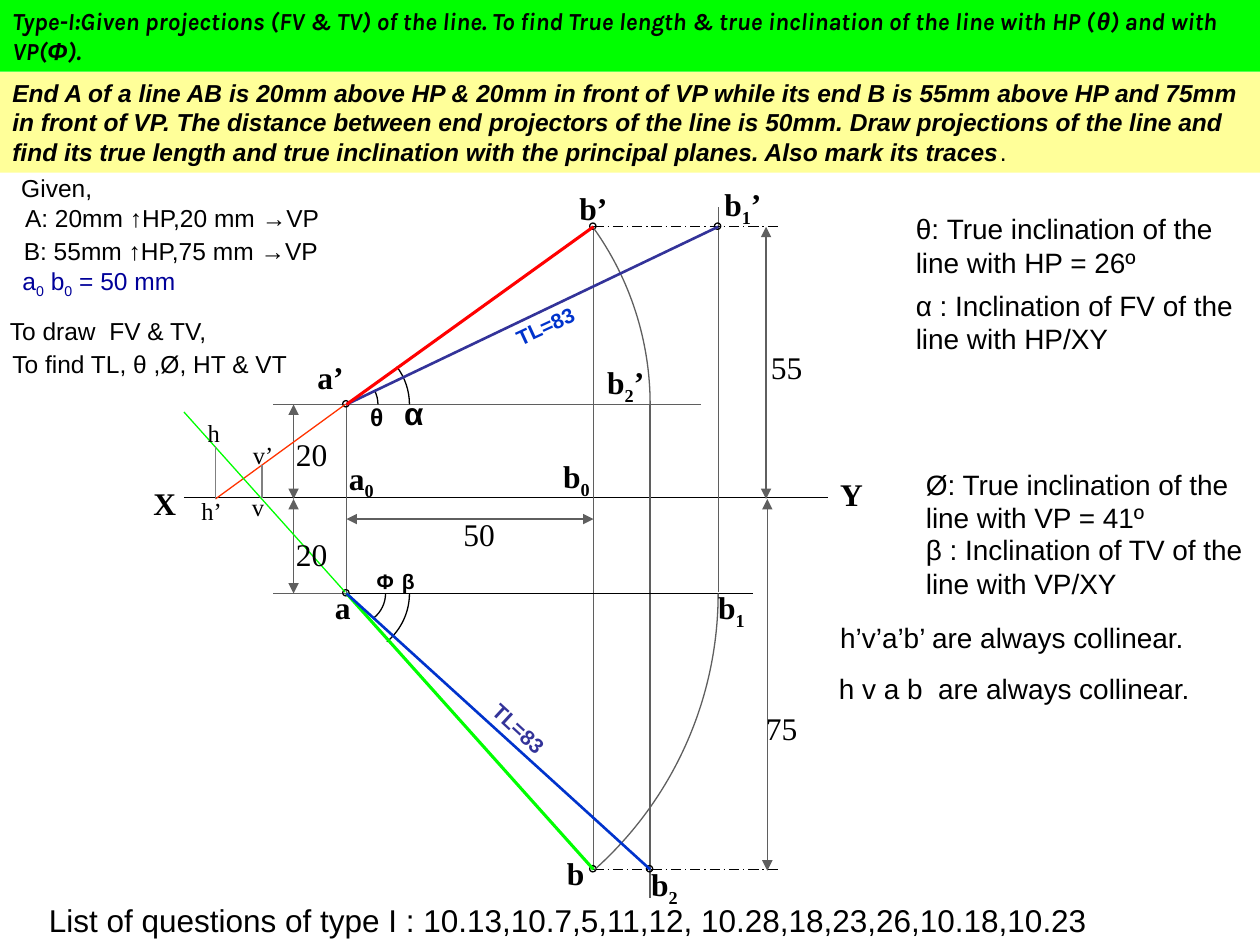
import math
from lxml import etree
from pptx import Presentation, util as u
from pptx.dml import color
from pptx.enum import dml, shapes, text
from pptx.oxml import ns

COLORS = {
    "ink": "000000", "thin": "5F5F5F", "trace": "808080", "red": "FF0000",
    "orange": "FF3300", "green": "00FF00", "blue": "0033CC",
    "indigo": "333399", "navy": "000099", "cream": "FFFF99",
}
SERIF, SANS = "Times New Roman", "Arial"


def rgb(name):
    return color.RGBColor.from_string(COLORS[name])


def write(s, wording, size, font, ink="ink", bold=False, italic=False, inset=0.05):
    tf = s.text_frame
    tf.word_wrap = True
    tf.auto_size = text.MSO_AUTO_SIZE.SHAPE_TO_FIT_TEXT
    tf.vertical_anchor = text.MSO_ANCHOR.TOP
    tf.margin_top = tf.margin_bottom = u.Inches(inset)
    p = tf.paragraphs[0]
    p.alignment = text.PP_ALIGN.LEFT
    p.font.size, p.font.name = u.Pt(size), font
    p.font.bold, p.font.italic = bold, italic
    p.font.color.rgb = rgb(ink)
    first, *rest = wording.split("_")
    p.add_run().text = first
    for part in rest:
        r = p.add_run()
        r.text = part[0]
        r.font._element.set("baseline", "-25000")
        if part[1:]:
            p.add_run().text = part[1:]
    return p


def label(sp, x, y, w, h, wording, size, font, **style):
    s = sp.add_textbox(*map(u.Inches, (x, y, w, h)))
    write(s, wording, size, font, **style)
    return s


def line(sp, start, end, ink="thin", width=0.75, dashed=False, arrows=False):
    s = sp.add_connector(shapes.MSO_CONNECTOR.STRAIGHT, *map(u.Inches, (*start, *end)))
    s.line.color.rgb = rgb(ink)
    s.line.width = u.Pt(width)
    if dashed:
        s.line.dash_style = dml.MSO_LINE.LONG_DASH_DOT
    if arrows:
        for tag in ("a:headEnd", "a:tailEnd"):
            etree.SubElement(s.line._get_or_add_ln(), ns.qn(tag), type="triangle")
    etree.SubElement(s._element.spPr, ns.qn("a:effectLst"))


def outline(s, ink):
    s.shadow.inherit = False
    s.fill.background()
    s.line.color.rgb = rgb(ink)
    s.line.width = u.Pt(0.75)


def arc(sp, center, radius, degrees, ink="ink"):
    cx, cy = center
    t = math.radians(degrees)
    k = 4 / 3 * math.tan(t / 4)
    cos, sin = math.cos(t), math.sin(t)
    start, *curve = [(u.Inches(cx + radius * dx), u.Inches(cy + radius * dy))
                     for dx, dy in ((cos, sin), (cos + k * sin, sin - k * cos),
                                    (1, k), (1, 0))]
    builder = sp.build_freeform(u.Inches(cx), u.Inches(cy))
    builder.move_to(*start)
    builder.add_line_segments(curve, close=False)
    s = builder.convert_to_shape()
    outline(s, ink)
    trail = next(s._element.iter(ns.qn("a:path")))
    trail.remove(trail[0])
    bezier = etree.SubElement(trail, ns.qn("a:cubicBezTo"))
    for segment in trail.findall(ns.qn("a:lnTo")):
        bezier.append(segment[0])
        trail.remove(segment)


def banner(sp, x, y, w, h, fill, wording, font):
    s = sp.add_shape(shapes.MSO_SHAPE.RECTANGLE, *map(u.Inches, (x, y, w, h)))
    s.shadow.inherit = False
    s.fill.solid()
    s.fill.fore_color.rgb = rgb(fill)
    s.line.fill.background()
    return write(s, wording, 14, font, bold=True, italic=True)


def title_banner(sp, x, y):
    p = banner(sp, x, y, 10, 0.57, "green",
               "Type-I:Given projections (FV & TV) of the line. To find True length & true "
               "inclination of the line with HP (", "Karla")
    for wording, font in (("θ", SANS), (") and with VP(", "Karla"),
                          ("Φ", SANS), (").", "Karla")):
        r = p.add_run()
        r.text, r.font.name = wording, font


def problem_banner(sp, x, y):
    p = banner(sp, x, y, 10, 0.8, "cream",
               "End A of a line AB is 20mm above HP & 20mm in front of VP while its end B is "
               "55mm above HP and 75mm in front of VP. The distance between end projectors "
               "of the line is 50mm. Draw projections of the line and find its true length "
               "and true inclination with the principal planes. Also mark its traces", SANS)
    r = p.add_run()
    r.text = "."
    r.font.bold = r.font.italic = False


def given_notes(sp, x, y):
    for dx, dy, w, wording, ink in (
        (0.1, 0.24, 2.65, "A: 20mm ↑HP,20 mm →VP", "ink"),
        (0.09, 0.5, 2.59, "B: 55mm ↑HP,75 mm →VP", "ink"),
        (0.07, 0, 0.82, "Given,", "ink"),
        (0.08, 0.74, 1.43, "a_0 b_0 = 50 mm", "navy"),
        (-0.02, 1.14, 1.9, "To draw  FV & TV,", "ink"),
        (0, 1.4, 2.47, "To find TL, θ ,Ø, HT & VT", "ink"),
    ):
        label(sp, x + dx, y + dy, w, 0.23, wording, 14, SANS, ink=ink, inset=0)


def result_notes(sp, x, y):
    for dx, dy, w, h, wording in (
        (0.6, 0, 2.83, 0.64, "θ: True inclination of the line with HP = 26º"),
        (0.6, 0.61, 2.83, 0.64, "α : Inclination of FV of the line with HP/XY"),
        (0.68, 2.03, 2.83, 0.64, "Ø: True inclination of the line with VP = 41º"),
        (0.68, 2.55, 2.83, 0.64, "β : Inclination of TV of the line with VP/XY"),
        (0, 3.25, 3.3, 0.37, "h’v’a’b’ are always collinear."),
        (-0.01, 3.65, 3.3, 0.37, "h v a b  are always collinear."),
    ):
        label(sp, x + dx, y + dy, w, h, wording, 16, SANS)


def projection_lines(sp, x, y):
    def at(dx, dy):
        return x + dx, y + dy

    a_front, a_top = at(0, -0.75), at(0, 0.75)
    b_front, b_top = at(1.96, -2.16), at(1.96, 2.94)
    b1_front, b2_top = at(2.95, -2.16), at(2.41, 2.94)

    line(sp, at(-1.29, -0.01), at(3.82, -0.01), "ink")
    for start, end in (
        (a_front, at(-0.58, -0.75)),
        (a_front, at(2.81, -0.75)),
        (a_top, at(-0.58, 0.75)),
        (a_front, a_top),
        (b_front, b_top),
        (at(2.95, 0.74), at(2.95, -2.32)),
        (at(2.41, -0.75), at(2.41, 3.17)),
    ):
        line(sp, start, end)
    line(sp, a_top, at(3.23, 0.75), "ink")
    for corner in (b_front, b_top):
        line(sp, corner, (x + 3.44, corner[1]), "ink", dashed=True)
    for start, end in (
        (at(-0.42, -0.75), at(-0.42, 0)),
        (at(-0.42, 0), at(-0.42, 0.75)),
        (at(0, 0.16), at(1.96, 0.16)),
        (at(3.33, -2.16), at(3.33, 0)),
        (at(3.34, 0), at(3.34, 2.95)),
    ):
        line(sp, start, end, arrows=True)
    for px, py in (a_front, a_top, b_front, b_top, b1_front, b2_top):
        s = sp.add_shape(shapes.MSO_SHAPE.OVAL,
                         *map(u.Inches, (px - 0.03, py - 0.03, 0.05, 0.05)))
        outline(s, "ink")

    arc(sp, at(0.01, -0.75), 0.24, -26.5)
    arc(sp, a_front, 0.5, -36.9)
    arc(sp, at(0.06, 0.75), 0.25, 51)
    arc(sp, a_top, 0.5, 50)
    arc(sp, a_front, 2.41, -35.8, "thin")
    arc(sp, at(0.01, 0.75), 2.94, 48.2, "thin")

    for start, end, ink, width in (
        (a_top, b_top, "green", 1.75),
        (a_front, b1_front, "indigo", 1.5),
        (a_front, b_front, "red", 1.75),
        (at(-0.01, -0.75), at(-1.04, 0), "orange", 0.75),
        (at(-0.01, 0.74), at(-1.29, -0.69), "green", 0.75),
        (a_top, b2_top, "blue", 1.5),
        (at(-1.04, 0), at(-1.04, -0.42), "trace", 0.75),
        (at(-0.67, -0.01), at(-0.67, -0.27), "trace", 0.75),
    ):
        line(sp, start, end, ink, width)


def projection_labels(sp, x, y):
    points = (
        (-0.33, -1.17, 0.42, "a’"), (-1.63, -0.17, 0.33, "X"),
        (3.82, -0.24, 0.42, "Y"), (-0.19, 0.66, 0.33, "a"),
        (1.75, -2.51, 0.58, "b’"), (2.85, 0.66, 0.58, "b_1"),
        (2.9, -2.54, 0.56, "b_1’"), (1.97, -1.13, 0.52, "b_2’"),
        (2.32, 2.86, 0.5, "b_2"), (1.65, 2.77, 0.33, "b"),
        (-0.08, -0.37, 0.65, "a_0"), (1.62, -0.38, 0.65, "b_0"),
    )
    dimensions = (
        (-0.5, -0.56, 0.52, "20"), (-0.5, 0.24, 0.53, "20"),
        (0.83, 0.08, 0.65, "50"), (3.27, -1.25, 0.55, "55"),
        (3.23, 1.62, 0.56, "75"),
    )
    traces = (
        (-1.25, -0.07, 0.48, "h’"), (-1.2, -0.69, 0.46, "h"),
        (-0.85, -0.1, 0.48, "v"), (-0.84, -0.52, 0.46, "v’"),
    )
    for group, size, h, bold in ((points, 18, 0.4, True), (dimensions, 18, 0.4, False),
                                 (traces, 14, 0.33, False)):
        for dx, dy, w, wording in group:
            label(sp, x + dx, y + dy, w, h, wording, size, SERIF, bold=bold)
    for dx, dy, w, h, wording, size, ink, angle in (
        (0.14, 0.5, 0.33, 0.3, "Φ", 12, "ink", 0),
        (0.09, -0.82, 0.33, 0.33, "θ", 14, "ink", 0),
        (1.23, -1.55, 0.8, 0.3, "TL=83", 12, "blue", 335.2),
        (0.34, 0.5, 0.42, 0.3, "β", 12, "ink", 0),
        (1.01, 1.71, 0.8, 0.3, "TL=83", 12, "indigo", 42.7),
        (0.36, -0.88, 0.42, 0.4, "α", 18, "ink", 0),
    ):
        s = label(sp, x + dx, y + dy, w, h, wording, size, SANS, ink=ink, bold=True)
        s.rotation = angle


def main():
    prs = Presentation()
    prs.slide_width, prs.slide_height = u.Inches(10), u.Inches(7.5)
    sp = prs.slides.add_slide(prs.slide_layouts[6]).shapes
    projection_lines(sp, 2.75, 3.96)
    projection_labels(sp, 2.75, 3.96)
    problem_banner(sp, 0, 0.57)
    given_notes(sp, 0, 1.37)
    title_banner(sp, 0, 0)
    result_notes(sp, 6.57, 1.63)
    label(sp, 0.29, 7.1, 9.58, 0.4,
          "List of questions of type I : 10.13,10.7,5,11,12, 10.28,18,23,26,10.18,10.23",
          18, SANS)
    prs.save("out.pptx")


if __name__ == "__main__":
    main()
